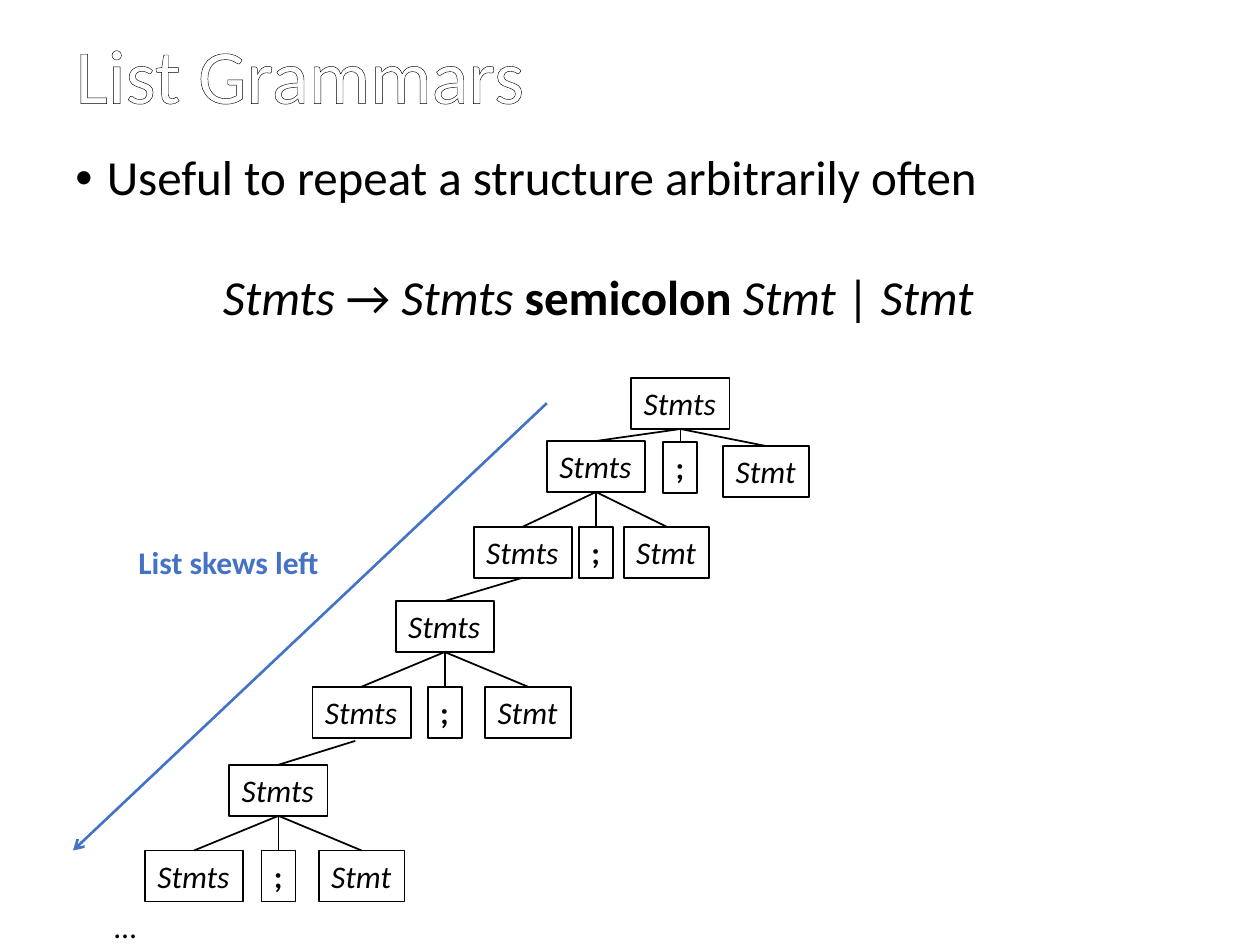
from dataclasses import dataclass

from lxml.etree import SubElement
from pptx import Presentation
from pptx.dml.color import RGBColor
from pptx.enum.shapes import MSO_CONNECTOR as Link, MSO_SHAPE as Preset
from pptx.enum.text import MSO_ANCHOR as Anchor, MSO_AUTO_SIZE as AutoSize, PP_ALIGN as Align
from pptx.oxml.ns import qn
from pptx.util import Inches, Pt

BLACK = RGBColor(0x00, 0x00, 0x00)
WHITE = RGBColor(0xFF, 0xFF, 0xFF)
BLUE = RGBColor(0x44, 0x72, 0xC4)
FONT = "Calibri"

# The slide is a grid of 100 columns by 75 rows.
COLUMNS, ROWS = 100, 75
SLIDE_WIDTH, SLIDE_HEIGHT = Inches(10), Inches(7.5)
NODE_ROWS = 4.05
NODE_COLUMNS = {"Stmts": 7.8, ";": 2.7, "Stmt": 6.8}


@dataclass(frozen=True)
class Span:
    """A piece of text with one style."""
    text: str
    italic: bool = False
    bold: bool = False


@dataclass(frozen=True)
class Node:
    """A tree symbol, given by its centre column and top row."""
    symbol: str
    centre: float
    top: float


@dataclass(frozen=True)
class Step:
    """One expansion of the list: a parent and the symbols below it."""
    parent: Node
    children: tuple[Node, ...]
    shift: tuple[float, float] = (0, 0)


LISTS = [Node("Stmts", centre, top) for centre, top in (
    (54.0, 30.0), (47.3, 35.0), (41.5, 41.8), (35.3, 47.7),
    (28.7, 54.5), (22.1, 60.7), (15.4, 67.5))]

STEPS = (
    Step(LISTS[0], (LISTS[1], Node(";", 54.0, 35.1), Node("Stmt", 60.8, 35.4))),
    Step(LISTS[1], (LISTS[2], Node(";", 47.3, 41.8), Node("Stmt", 52.9, 41.8))),
    Step(LISTS[2], (LISTS[3],)),
    Step(LISTS[3], (LISTS[4], Node(";", 35.3, 54.5), Node("Stmt", 41.9, 54.5))),
    Step(LISTS[4], (LISTS[5],), shift=(-0.5, 0.25)),
    Step(LISTS[5], (LISTS[6], Node(";", 22.1, 67.5), Node("Stmt", 28.7, 67.5))),
)

RULE = (
    Span("Stmts", italic=True), Span(" → "), Span("Stmts ", italic=True),
    Span("semicolon ", bold=True), Span("Stmt ", italic=True),
    Span("| "), Span("Stmt", italic=True),
)


def across(columns: float) -> int:
    """Turn columns into a horizontal length."""
    return round(SLIDE_WIDTH * columns / COLUMNS)


def down(rows: float) -> int:
    """Turn rows into a vertical length."""
    return round(SLIDE_HEIGHT * rows / ROWS)


def frame(left: float, top: float, width: float, height: float) -> tuple[int, ...]:
    """Turn grid places into a position and size."""
    return across(left), down(top), across(width), down(height)


def write(para, spans, size: float, color: RGBColor = BLACK) -> None:
    """Add spans to a left-aligned paragraph, run by run."""
    para.alignment = Align.LEFT
    for span in spans:
        run = para.add_run()
        run.text = span.text
        font = run.font
        font.name, font.size = FONT, Pt(size)
        font.italic, font.bold = span.italic, span.bold
        font.color.rgb = color


def add_text(page, place, spans, size: float, color: RGBColor = BLACK, wrap: bool = False):
    """Add a text box and return its paragraph."""
    text = page.shapes.add_textbox(*frame(*place)).text_frame
    text.word_wrap = wrap
    text.auto_size = AutoSize.SHAPE_TO_FIT_TEXT
    para = text.paragraphs[0]
    write(para, spans, size, color)
    return para


def add_title(page, words: str) -> None:
    """Fill the title with white, outlined letters."""
    title = page.shapes.title
    title.left, title.top, title.width, title.height = frame(5, 0, 90, 12.5)
    title.text_frame.vertical_anchor = Anchor.MIDDLE
    para = title.text_frame.paragraphs[0]
    para.line_spacing = 0.9
    write(para, (Span(words),), 44, WHITE)
    style = para.runs[0].font._element
    outline = SubElement(style, qn("a:ln"), w=str(Pt(1)))
    fill = SubElement(outline, qn("a:solidFill"))
    SubElement(fill, qn("a:srgbClr"), val=str(BLACK))
    style.insert(0, outline)


def add_bullet(page, words: str) -> None:
    """Add the bulleted statement."""
    para = add_text(page, (5, 11.7, 90, 5.5), (Span(words),), 28, wrap=True)
    para.line_spacing, para.space_before = 0.9, Pt(10)
    style = para._p.get_or_add_pPr()
    style.set("marL", str(Inches(0.25)))
    style.set("indent", str(-Inches(0.25)))
    SubElement(style, qn("a:buFont"), typeface="Arial")
    SubElement(style, qn("a:buChar"), char="•")


def add_line(page, start, end, color: RGBColor = BLACK, width: float = 1, arrow: bool = False) -> None:
    """Draw a straight line between two grid points."""
    line = page.shapes.add_connector(
        Link.STRAIGHT, across(start[0]), down(start[1]), across(end[0]), down(end[1]))
    line.line.color.rgb = color
    line.line.width = Pt(width)
    if arrow:
        SubElement(line.line._get_or_add_ln(), qn("a:tailEnd"), type="arrow")
    SubElement(line._element.spPr, qn("a:effectLst"))


def add_node(page, node: Node) -> None:
    """Draw one framed tree symbol."""
    width = NODE_COLUMNS[node.symbol]
    box = page.shapes.add_shape(
        Preset.RECTANGLE, *frame(node.centre - width / 2, node.top, width, NODE_ROWS))
    box.shadow.inherit = False
    box.fill.solid()
    box.fill.fore_color.rgb = WHITE
    box.line.color.rgb = BLACK
    box.line.width = Pt(1)
    text = box.text_frame
    text.word_wrap = False
    text.auto_size = AutoSize.SHAPE_TO_FIT_TEXT
    text.vertical_anchor = Anchor.TOP
    mark = node.symbol == ";"
    write(text.paragraphs[0], (Span(node.symbol, italic=not mark, bold=mark),), 18)


def add_tree(page) -> None:
    """Draw every symbol and the branches between them."""
    add_node(page, LISTS[0])
    for step in STEPS:
        start = (step.parent.centre + step.shift[0],
                 step.parent.top + NODE_ROWS + step.shift[1])
        for child in step.children:
            add_node(page, child)
            add_line(page, start, (child.centre, child.top))


def main() -> None:
    """Build and save the slide."""
    deck = Presentation()
    deck.slide_width, deck.slide_height = SLIDE_WIDTH, SLIDE_HEIGHT
    page = deck.slides.add_slide(deck.slide_layouts[5])
    add_title(page, "List Grammars")
    add_bullet(page, "Useful to repeat a structure arbitrarily often")
    add_text(page, (16.7, 18.3, 81.7, 8.1), RULE, 28, wrap=True).line_spacing = 1.5
    add_tree(page)
    add_line(page, (43.4, 32), (5.8, 67.5), BLUE, 1.5, arrow=True)
    add_text(page, (10, 42.6, 16.5, 4), (Span("List skews left", bold=True),), 18, BLUE)
    add_text(page, (8.1, 71.5, 3.8, 4), (Span("…"),), 18)
    deck.save("out.pptx")


main()
